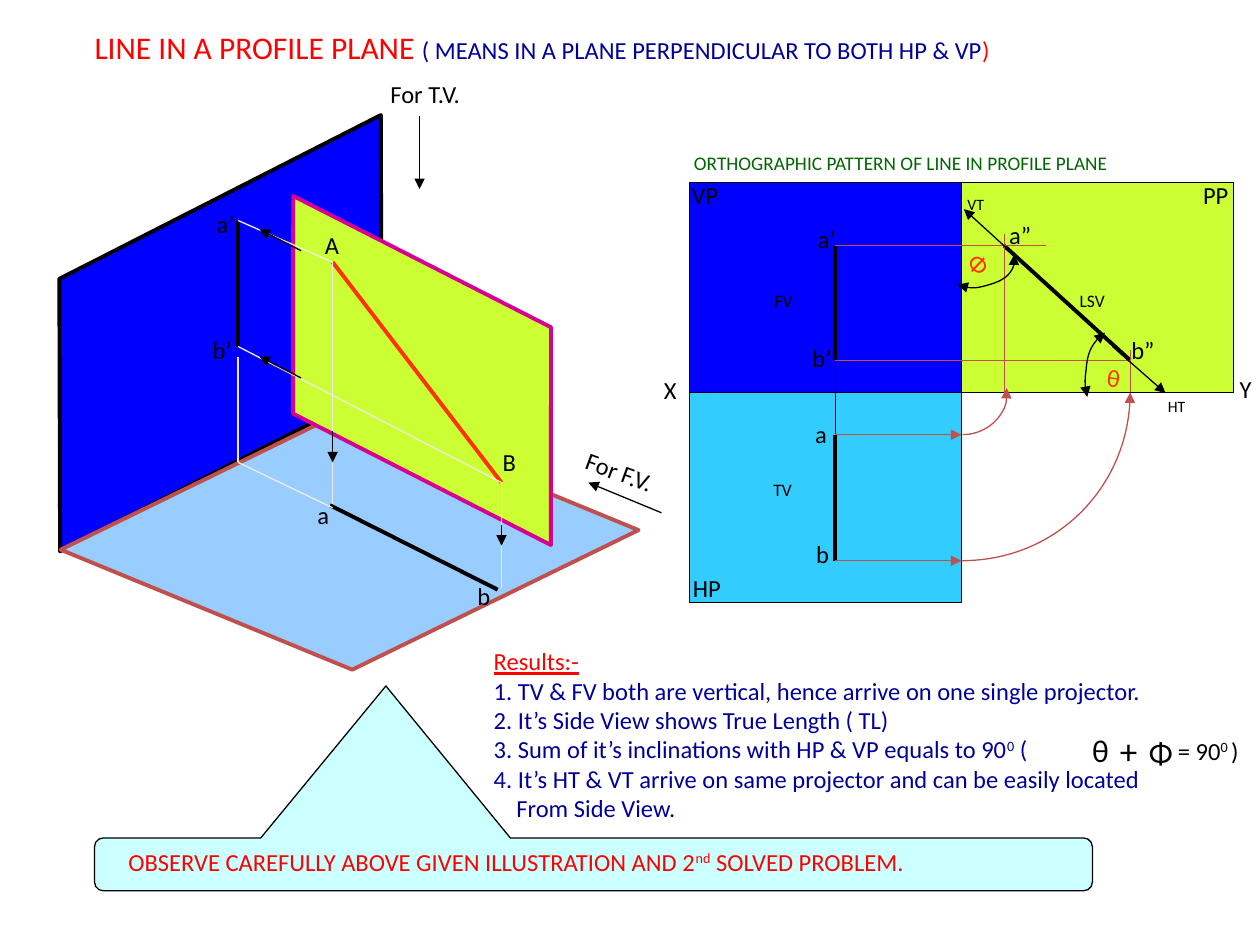
from lxml.etree import SubElement
from pptx import Presentation
from pptx.dml.color import RGBColor
from pptx.enum.shapes import MSO_CONNECTOR as Connector, MSO_SHAPE as Shape
from pptx.enum.text import MSO_ANCHOR as Anchor, MSO_AUTO_SIZE as AutoSize, PP_ALIGN as Align
from pptx.oxml.ns import qn
from pptx.util import Inches, Pt

COLUMNS, ROWS = 100, 75
BLACK, RED, NAVY, BROWN = "000000", "FF0000", "000099", "C0504D"
BLUE, LIME, ORANGE, PALE = "0000FF", "CCFF33", "FF3300", "EEECE1"
THIN, FINE, THICK = 0.5, 0.75, 2.25


def color(value):
    return RGBColor.from_string(value)


class Drawing:
    font_name = "Calibri"

    def __init__(self, presentation):
        self.column = presentation.slide_width / COLUMNS
        self.row = presentation.slide_height / ROWS
        self.slide = presentation.slides.add_slide(presentation.slide_layouts[5])
        self.shapes = self.slide.shapes

    def box(self, left, top, width, height):
        return (round(left * self.column), round(top * self.row),
                round(width * self.column), round(height * self.row))

    def outline(self, line, line_color, width, arrows=""):
        line.color.rgb = color(line_color)
        line.width = Pt(width)
        properties = line._get_or_add_ln()
        for end in ("head", "tail"):
            if end in arrows:
                SubElement(properties, qn(f"a:{end}End"), type="triangle")

    def shape(self, kind, frame, fill, line=BLACK, width=FINE, rotation=0, flip=None, adjust=()):
        shape = self.shapes.add_shape(kind, *self.box(*frame))
        shape.shadow.inherit = False
        shape.fill.solid()
        shape.fill.fore_color.rgb = color(fill)
        self.outline(shape.line, line, width)
        shape.rotation = rotation
        for index, value in enumerate(adjust):
            shape.adjustments[index] = value
        if flip:
            shape._element.spPr.xfrm.set(flip, "1")

    def line(self, start, end, line_color=BLACK, width=FINE, arrows=""):
        left, top, right, bottom = self.box(*start, *end)
        connector = self.shapes.add_connector(Connector.STRAIGHT, left, top, right, bottom)
        self.outline(connector.line, line_color, width, arrows)
        SubElement(connector._element.spPr, qn("a:effectLst"))

    def curve(self, points, line_color, arrows):
        corners = [self.box(*point, 0, 0)[:2] for point in points]
        builder = self.shapes.build_freeform(*corners[0])
        builder.add_line_segments(corners[1:], close=False)
        shape = builder.convert_to_shape()
        shape.shadow.inherit = False
        shape.fill.background()
        self.outline(shape.line, line_color, FINE, arrows)
        outline = shape._element.find(".//" + qn("a:path"))
        segments = outline.findall(qn("a:lnTo"))
        for first in range(0, len(segments), 3):
            bezier = SubElement(outline, qn("a:cubicBezTo"))
            for segment in segments[first:first + 3]:
                bezier.append(segment[0])
                outline.remove(segment)

    def style(self, font, size, text_color):
        font.name = self.font_name
        font.size = Pt(size)
        font.color.rgb = color(text_color)

    def fill_paragraph(self, paragraph, parts, size, text_color):
        self.style(paragraph.font, size, text_color)
        for index, part in enumerate(parts):
            run = paragraph.add_run()
            run.text = part
            if index % 2:
                run._r.get_or_add_rPr().set("baseline", "30000")

    def text(self, parts, left, top, width, size=14, text_color=BLACK, rotation=0):
        return self.lines([parts], left, top, width, size, text_color, rotation)[0]

    def lines(self, rows, left, top, width, size=14, text_color=BLACK, rotation=0):
        height = 0.95 + 0.17 * size * len(rows)
        shape = self.shapes.add_textbox(*self.box(left, top, width, height))
        shape.rotation = rotation
        frame = shape.text_frame
        frame.word_wrap = False
        frame.auto_size = AutoSize.SHAPE_TO_FIT_TEXT
        for index, parts in enumerate(rows):
            paragraph = frame.add_paragraph() if index else frame.paragraphs[0]
            self.fill_paragraph(paragraph, parts, size, text_color)
        return frame.paragraphs

    def title(self, runs, frame):
        title = self.shapes.title
        title.left, title.top, title.width, title.height = self.box(*frame)
        text_frame = title.text_frame
        text_frame.auto_size = AutoSize.NONE
        text_frame.vertical_anchor = Anchor.TOP
        paragraph = text_frame.paragraphs[0]
        paragraph.alignment = Align.LEFT
        for text, size, text_color in runs:
            run = paragraph.add_run()
            run.text = text
            self.style(run.font, size, text_color)


def draw_pictorial(drawing):
    drawing.shape(Shape.PARALLELOGRAM, (-1.7, 16.8, 38.4, 19.3), BLUE, BLACK, THICK, 333, None, [0.506])
    drawing.shape(Shape.PARALLELOGRAM, (6.8, 33.5, 41.9, 18.7), "99CCFF", BROWN, THICK, 154, "flipH", [0.889])
    drawing.shape(Shape.PARALLELOGRAM, (18.1, 21.7, 30.8, 15.4), LIME, "D60093", THICK, 27, "flipV", [0.509])

    point_a, point_b = (26.4, 20.8), (39.8, 38.3)
    front_a, front_b, corner = (18.9, 17.5), (18.9, 27.5), (18.9, 36.7)
    drawing.line(point_a, point_b, ORANGE, THICK)
    drawing.line(front_a, front_b, BLACK, THICK)
    drawing.line((26.2, 40.1), (39.5, 46.8), BLACK, THICK)
    for start, end in [((18.9, 28.3), corner), (corner, (26.4, 40.3)), (point_b, front_b),
                       (point_a, front_a), (point_a, (26.4, 40)), (point_b, (39.8, 46.7))]:
        drawing.line(start, end, PALE)
    for start, end in [((23.9, 19.9), (20.6, 18.2)), ((23.9, 30), (20.6, 28.3)),
                       ((26.4, 34.2), (26.4, 36.7)), ((39.8, 41.7), (39.8, 43.3)),
                       ((52.5, 40.7), (46.7, 38.3)), ((33.3, 9.2), (33.3, 15))]:
        drawing.line(start, end, arrows="tail")
    for label, left, top, width in [
            ("A", 24.8, 17.8, 3.4), ("B", 38.9, 35, 3.3), ("a", 24.2, 39.2, 2.9),
            ("b", 36.9, 45.6, 3), ("a’", 16.2, 16.1, 3.5), ("b’", 15.9, 26.1, 3.6),
            ("For T.V.", 30, 5.8, 9.5)]:
        drawing.text([label], left, top, width)
    drawing.text(["For F.V."], 45.4, 36.1, 9.4, rotation=20.1)


def draw_projections(drawing):
    left, top, width, height = 54.7, 14.5, 21.6, 16.65
    for column, row, fill in [(1, 0, LIME), (0, 0, BLUE), (0, 1, "33CCFF")]:
        drawing.shape(Shape.RECTANGLE, (left + column * width, top + row * height, width, height), fill)

    projector, side, ground = 66.3, left + width, top + height
    side_a, side_b = (79.7, 19.5), (89.7, 28.6)
    front_a, front_b = (projector, side_a[1]), (projector, side_b[1])
    top_a, top_b = (projector, 34.5), (projector, 44.5)
    for start, end in [(front_a, front_b), (top_a, top_b), (side_a, side_b)]:
        drawing.line(start, end, BLACK, THICK)
    drawing.line(front_b, top_a)
    for start in (top_a, top_b):
        drawing.line(start, (side, start[1]), BROWN, THIN, "tail")
    for start, end in [(front_a, (83, side_a[1])), (front_b, side_b),
                       ((side_a[0], ground), (side_a[0], 18.6)),
                       ((side_b[0], ground), (side_b[0], 27.8))]:
        drawing.line(start, end, BROWN, THIN)
    drawing.line((88.3, 27.5), (92.5, 31.2), arrows="tail")
    drawing.line((76.5, 16.6), (79.9, 19.7), arrows="head")

    drawing.curve([(79.9, 30.8), (79.9, 31.3), (79.9, 31.9), (79.7, 32.4),
                   (79.1, 33.7), (77.8, 34.5), (76.4, 34.5)], BROWN, "head")
    drawing.curve([(89.7, ground), (89.7, 38.5), (83.7, 44.5), (side, 44.5)], BROWN, "head")
    drawing.curve([(87.7, 26.4), (86.9, 26.9), (86.3, 28), (86.2, 29.4),
                   (86.1, 30.1), (86.1, 30.9), (86.3, 31.5)], BLACK, "head tail")
    drawing.curve([(80.5, 20.2), (80.8, 21.1), (79.9, 22.2), (78.5, 22.6),
                   (77.5, 22.9), (76.6, 22.9), (76, 22.6)], BLACK, "head tail")

    for label, x, y, label_width, size in [
            ("PP", 94.5, 13.8, 4.2, 14), ("VP", 53.9, 13.8, 4.5, 14), ("HP", 54, 45, 4.5, 14),
            ("a", 63.7, 32.8, 2.9, 14), ("b", 63.8, 42.3, 3, 14), ("a’", 63.9, 17.3, 3.5, 14),
            ("b’", 63.5, 26.7, 3.6, 14), ("a”", 79.1, 17, 3.8, 14), ("b”", 88.8, 26.1, 3.9, 14),
            ("X", 51.7, 29.3, 3.4, 14), ("Y", 97.4, 29.2, 3.4, 14), ("FV", 60.5, 22.5, 3.9, 10),
            ("TV", 60.4, 37.5, 3.9, 10), ("LSV", 84.7, 22.5, 4.7, 10),
            ("HT", 91.7, 31, 3.7, 9), ("VT", 75.8, 15, 3.8, 9)]:
        drawing.text([label], x, y, label_width, size)
    drawing.text(["θ"], 86.9, 28.3, 3, 14, ORANGE, 6.8)
    drawing.text(["Φ"], 76, 19.3, 3.5, 14, ORANGE, 43.7)
    drawing.text(["ORTHOGRAPHIC PATTERN OF LINE IN PROFILE PLANE"], 54.1, 11.5, 43.3, 11, "006600")


def draw_results(drawing):
    results = drawing.lines([
        ["Results:-"],
        ["1. TV & FV both are vertical, hence arrive on one single projector."],
        ["2. It’s Side View shows True Length ( TL)"],
        ["3. Sum of it’s inclinations with HP & VP equals to 90", "0", " ("],
        ["4. It’s HT & VT arrive on same projector and can be easily located"],
        ["From Side View."]], 38.2, 50.8, 58.5, 14, NAVY)
    results[0].font.color.rgb = color(RED)
    results[0].font.underline = True
    results[-1]._p.get_or_add_pPr().set("marL", str(Inches(0.18)))
    for symbol, left, top, width, size in [("θ", 85.7, 57.5, 3.2, 18), ("Φ", 90.2, 57.7, 3.7, 18),
                                           ("+", 87.9, 57.4, 3.6, 20)]:
        drawing.text([symbol], left, top, width, size)
    drawing.text(["= 90", "0 ", ")"], 92.5, 57.9, 7.5)
    drawing.shape(Shape.ROUNDED_RECTANGULAR_CALLOUT, (7.5, 66.5, 79.2, 4.2), "CCFFFF",
                  adjust=[-0.208, -3.371, 0.167])
    drawing.text(["OBSERVE CAREFULLY ABOVE GIVEN ILLUSTRATION AND 2", "nd", " SOLVED PROBLEM."],
                 9.2, 66.7, 78.4, 14, RED)


def main():
    presentation = Presentation()
    presentation.slide_width, presentation.slide_height = Inches(10), Inches(7.5)
    drawing = Drawing(presentation)
    drawing.title([("LINE IN A PROFILE PLANE ", 18, RED),
                   ("( MEANS IN A PLANE PERPENDICULAR TO BOTH HP & VP", 14, NAVY),
                   (")", 14, RED)], (6.5, 1.7, 90.1, 4))
    draw_pictorial(drawing)
    draw_projections(drawing)
    draw_results(drawing)
    presentation.save("out.pptx")


if __name__ == "__main__":
    main()
